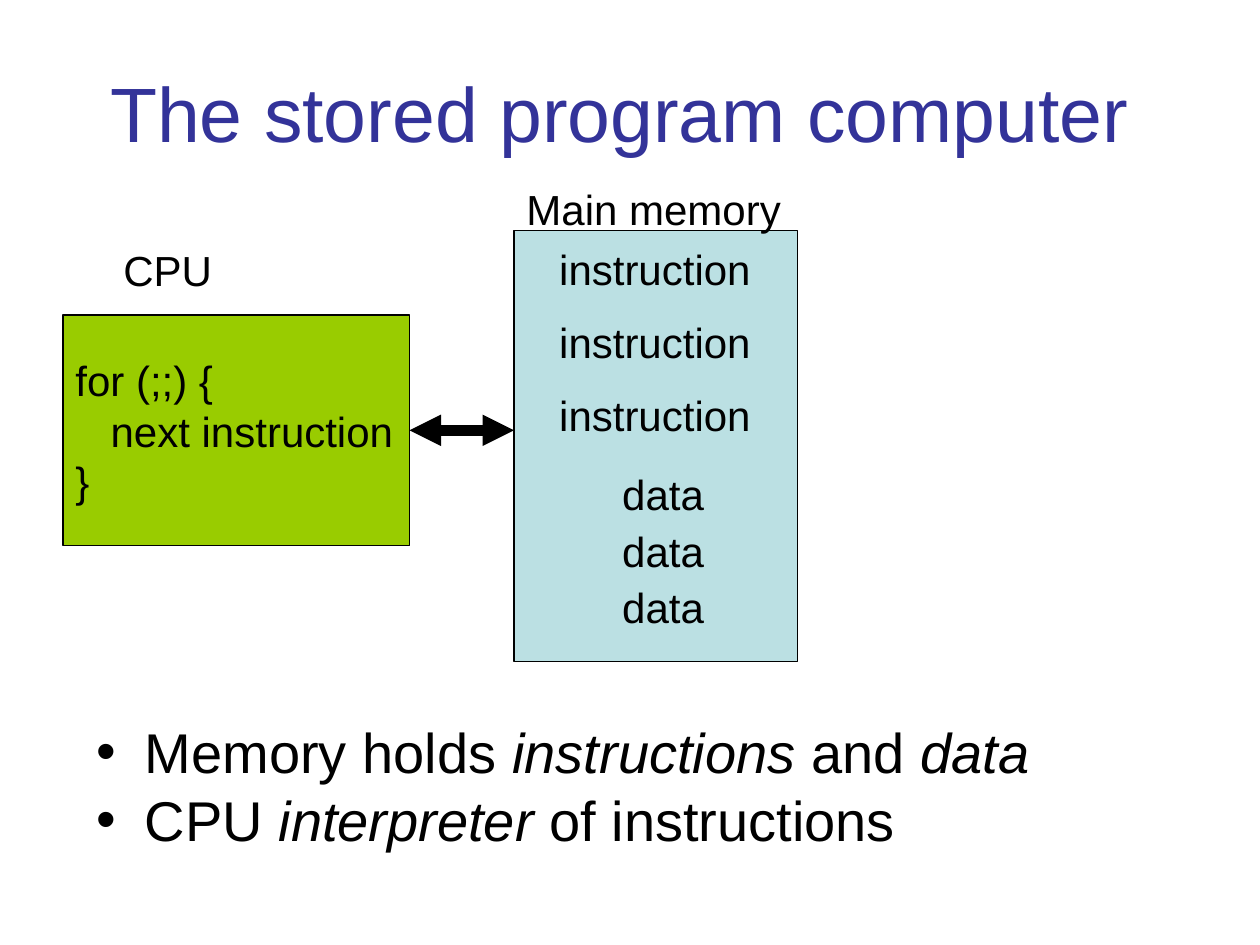
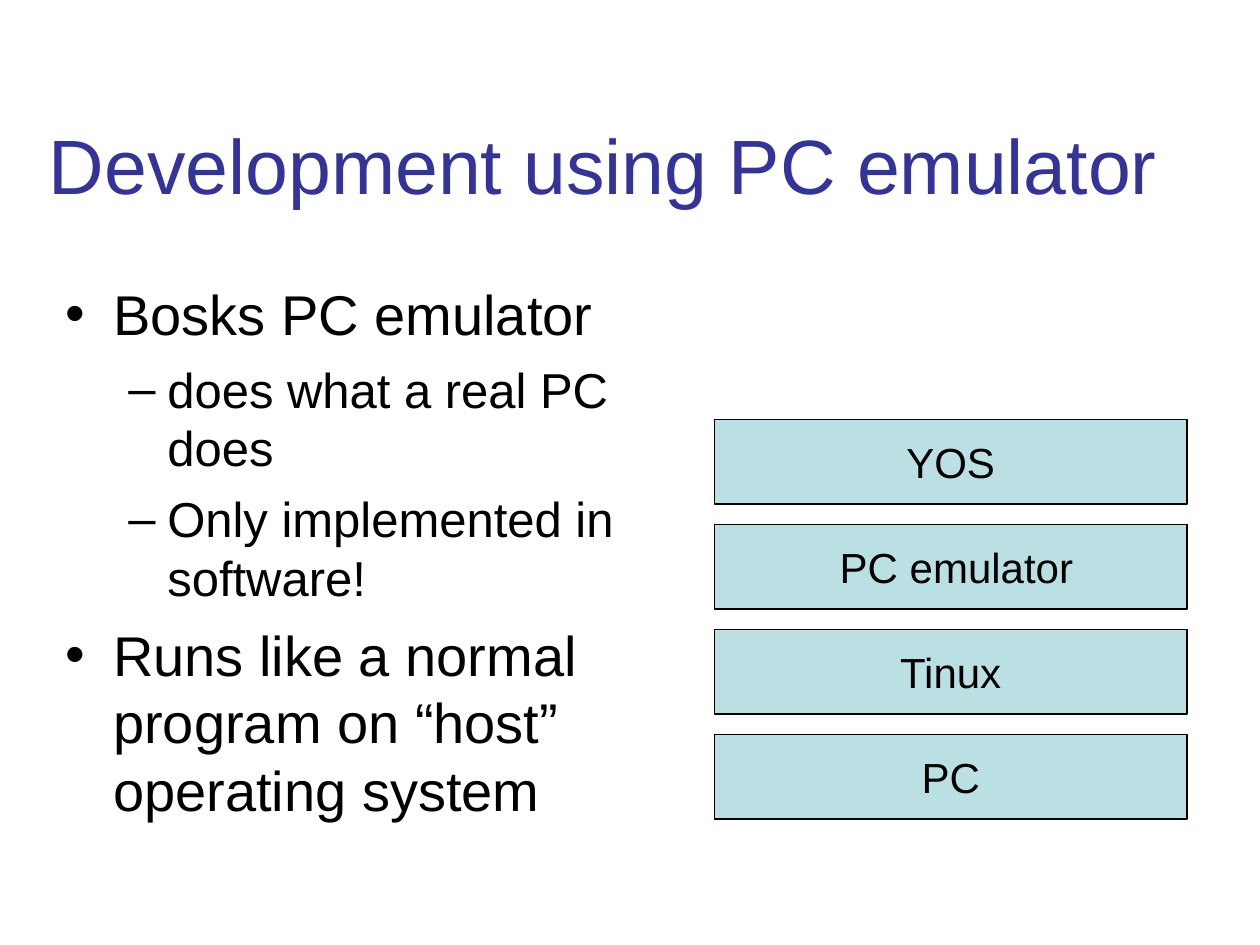
from lxml import etree
from pptx import Presentation
from pptx import util as u
from pptx.dml.color import RGBColor
from pptx.enum import shapes, text
from pptx.oxml import ns

FONT = "Arial"
INK, TITLE, AQUA, GREEN = "000000", "333399", "BBE0E3", "99CC00"
BULLETS = {0: ("•", 32, 8, 0.38, -0.38), 1: ("–", 28, 7, 0.81, -0.31)}
MID = text.PP_ALIGN.CENTER


def write(shape, lines, size=24, color=INK, align=text.PP_ALIGN.LEFT, wrap=False):
    """Fill a shape with (indent, runs) lines; every second run is italic."""
    frame = shape.text_frame
    frame.word_wrap = wrap
    for i, (indent, runs) in enumerate(lines):
        para = frame.paragraphs[0] if i == 0 else frame.add_paragraph()
        para.alignment = align
        para.font.size = u.Pt(size)
        para.font.name = FONT
        para.font.color.rgb = RGBColor.from_string(color)
        if indent:
            para._p.get_or_add_pPr().set("marL", str(u.Inches(indent)))
        for j, part in enumerate(runs):
            run = para.add_run()
            run.text = part
            if j % 2:
                run.font.italic = True
    return frame


def block(slide, box, fill):
    """Add a flat rectangle with a thin black outline."""
    rect = slide.shapes.add_shape(shapes.MSO_SHAPE.RECTANGLE, *map(u.Inches, box))
    rect.shadow.inherit = False
    rect.fill.solid()
    rect.fill.fore_color.rgb = RGBColor.from_string(fill)
    rect.line.color.rgb = RGBColor.from_string(INK)
    rect.line.width = u.Pt(0.75)
    rect.text_frame.vertical_anchor = text.MSO_ANCHOR.MIDDLE
    return rect


deck = Presentation()
deck.slide_width, deck.slide_height = u.Inches(10), u.Inches(7.5)

# Titles and bullet lists: (level, runs), line spacing
pages = [
    ("The stored program computer", (0.67, 0.26, 8.5, 1.25),
     (0.67, 5.75, 8.5, 1.17), 0.8,
     [(0, ["Memory holds ", "instructions", " and ", "data"]),
      (0, ["CPU ", "interpreter", " of instructions"])]),
    ("Development using PC emulator", (0, 0.67, 9.58, 1.25),
     (0.42, 2.17, 4.58, 4.5), None,
     [(0, ["Bosks PC emulator"]),
      (1, ["does what a real PC does"]),
      (1, ["Only implemented in software!"]),
      (0, ["Runs like a normal program on “host” operating system"])]),
]
slides = []
for title, top, body, space, items in pages:
    slide = deck.slides.add_slide(deck.slide_layouts[6])
    slides.append(slide)
    head = slide.shapes.add_textbox(*map(u.Inches, top))
    frame = write(head, [(0, [title])], 44, TITLE, MID, True)
    frame.vertical_anchor = text.MSO_ANCHOR.MIDDLE

    area = slide.shapes.add_textbox(*map(u.Inches, body))
    frame = write(area, [(0, runs) for _, runs in items], wrap=True)
    for para, (level, _) in zip(frame.paragraphs, items):
        mark, size, before, left, hang = BULLETS[level]
        para.level = level
        para.font.size = u.Pt(size)
        para.space_before = u.Pt(before)
        if space:
            para.line_spacing = space
        props = para._p.get_or_add_pPr()
        props.set("marL", str(u.Inches(left)))
        props.set("indent", str(u.Inches(hang)))
        base = props.find(ns.qn("a:defRPr"))
        base.addprevious(etree.Element(ns.qn("a:buFont"), typeface=FONT))
        base.addprevious(etree.Element(ns.qn("a:buChar"), char=mark))

# Slide 1: processor, memory and the link between them
stored, layers = slides
cpu = block(stored, (0.5, 2.5, 2.75, 1.83), GREEN)
write(cpu, [(0, ["for (;;) {"]), (0.28, ["next instruction"]), (0, ["}"])])
block(stored, (4.08, 1.83, 2.25, 3.42), AQUA)

level = cpu.top + cpu.height // 2
link = stored.shapes.add_connector(
    shapes.MSO_CONNECTOR.STRAIGHT, cpu.left + cpu.width, level, u.Inches(4.08), level)
link.begin_connect(cpu, 3)
link.line.color.rgb = RGBColor.from_string(INK)
link.line.width = u.Pt(6)
for end in ("a:headEnd", "a:tailEnd"):
    etree.SubElement(link.line._get_or_add_ln(), ns.qn(end), type="triangle")
etree.SubElement(link._element.spPr, ns.qn("a:effectLst"))

labels = [("CPU", 0.88, 1.89, 0.95), ("Main memory", 4.08, 1.41, 2.24)]
labels += [("instruction", 4.34, 1.88 + 0.58 * i, 1.74) for i in range(3)]
labels += [("data", 4.84, 3.67 + 0.45 * i, 0.87) for i in range(3)]
for name, left, top, width in labels:
    label = stored.shapes.add_textbox(*map(u.Inches, (left, top, width, 0.5)))
    frame = write(label, [(0, [name])])
    frame.auto_size = text.MSO_AUTO_SIZE.SHAPE_TO_FIT_TEXT

# Slide 2: software stack
stack = [("YOS", 0), ("PC emulator", 0.09), ("Tinux", 0), ("PC", 0)]
for i, (name, indent) in enumerate(stack):
    layer = block(layers, (5.67, 3.33 + i * 2.5 / 3, 3.75, 0.67), AQUA)
    write(layer, [(indent, [name])], align=MID)

deck.save("out.pptx")
